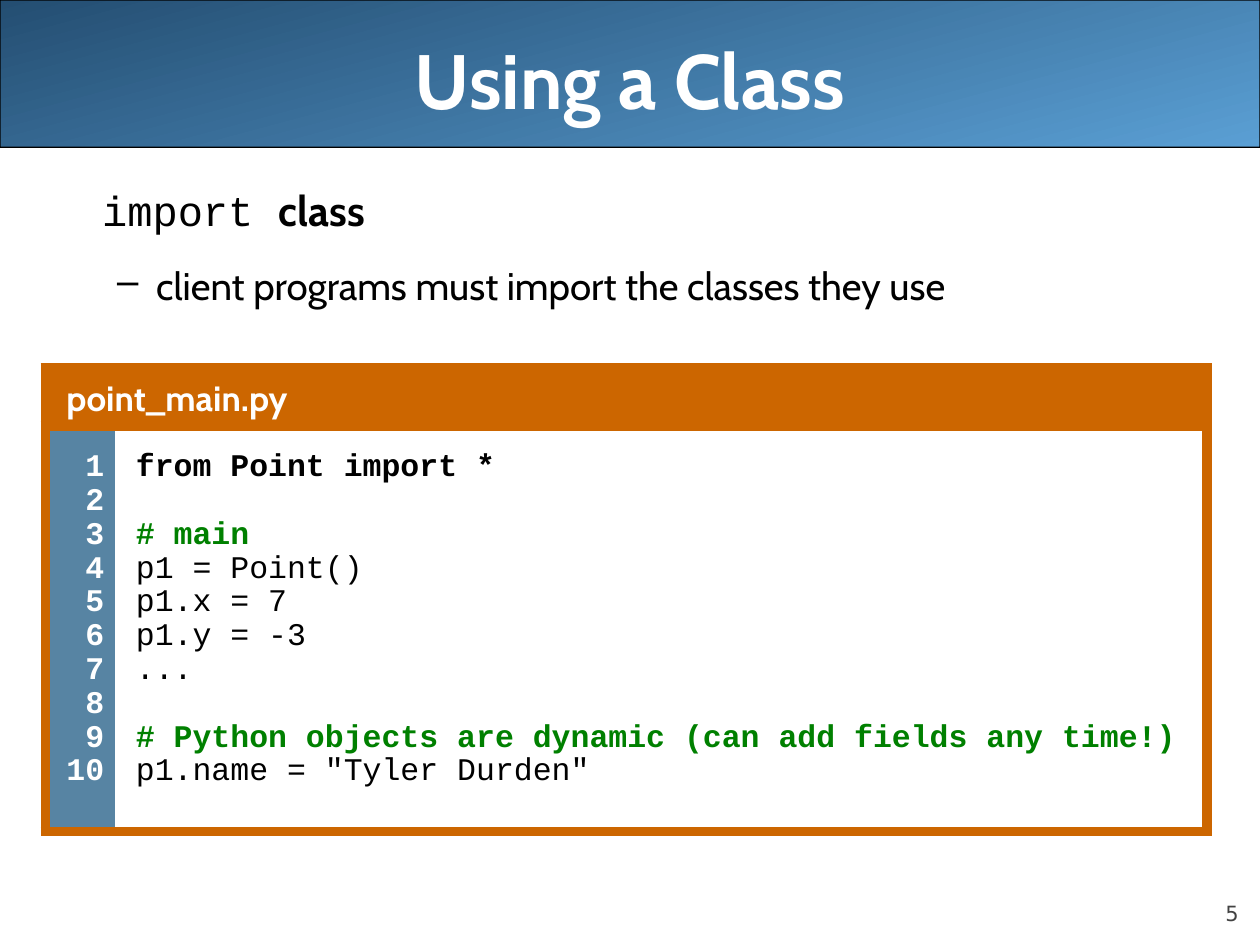
from dataclasses import dataclass

import pptx
import pptx.dml.color
import pptx.enum.shapes
import pptx.enum.text
import pptx.oxml
import pptx.oxml.ns
import pptx.util

Cm, Pt = pptx.util.Cm, pptx.util.Pt
ALIGN = pptx.enum.text.PP_ALIGN
ANCHOR = pptx.enum.text.MSO_ANCHOR


@dataclass(frozen=True)
class Theme:
    sans: str = "Cabin"
    mono: str = "Courier New"
    footer: str = "DejaVu Sans"
    black: str = "000000"
    white: str = "FFFFFF"
    grey: str = "424242"
    orange: str = "CC6600"
    slate: str = "5784A3"
    green: str = "008000"
    banner: tuple = ("244E72", "5A9FD4")
    title_size: float = 44
    lead_size: float = 24
    point_size: float = 22
    file_size: float = 20
    code_size: float = 18
    footer_size: float = 12
    frame_width: float = 6


@dataclass(frozen=True)
class Box:
    """A region of the slide, in centimetres."""
    left: float
    top: float
    width: float
    height: float

    def inset(self, left, top, width, height):
        return Box(self.left + left, self.top + top, width, height)

    def lengths(self):
        return [Cm(n) for n in (self.left, self.top, self.width, self.height)]


THEME = Theme()
LINE_SPACING = 0.77
CODE_GAP = 3.6
LINE_PITCH = 19.3  # one code line with its gap, in points

CODE = [
    ("from Point import *", THEME.black, True),
    None,
    ("# main", THEME.green, True),
    ("p1 = Point()", THEME.black, False),
    ("p1.x = 7", THEME.black, False),
    ("p1.y = -3", THEME.black, False),
    ("...", THEME.black, False),
    None,
    ("# Python objects are dynamic (can add fields any time!)", THEME.green, True),
    ('p1.name = "Tyler Durden"', THEME.black, False),
]


def rgb(value):
    return pptx.dml.color.RGBColor.from_string(value)


def apply(target, **values):
    for name, value in values.items():
        setattr(target, name, value)


def add_run(paragraph, text, font, size, color, bold=False):
    run = paragraph.add_run()
    run.text = text
    apply(run.font, name=font, size=Pt(size), bold=bold)
    run.font.color.rgb = rgb(color)


def indent(paragraph, margin, first=0.0):
    properties = paragraph._p.get_or_add_pPr()
    properties.set("marL", str(Cm(margin)))
    properties.set("indent", str(Cm(first)))


def next_paragraph(frame, is_first):
    return frame.paragraphs[0] if is_first else frame.add_paragraph()


def add_text_frame(slide, box, **values):
    frame = slide.shapes.add_textbox(*box.lengths()).text_frame
    apply(frame, word_wrap=True, **values)
    return frame


def add_banner(slide, box):
    band = slide.shapes.add_shape(
        pptx.enum.shapes.MSO_SHAPE.ROUNDED_RECTANGLE, *box.lengths())
    band.adjustments[0] = 0.001
    band.shadow.inherit = False
    band.fill.gradient()
    band.fill.gradient_angle = 285
    for stop, color, position in zip(band.fill.gradient_stops, THEME.banner, (0, 1)):
        stop.color.rgb = rgb(color)
        stop.position = position
    band.line.color.rgb = rgb(THEME.black)
    band.line.width = Pt(0.75)

    frame = add_text_frame(slide, box.inset(1.27, 0, box.width - 2.54, 3.18),
                           vertical_anchor=ANCHOR.MIDDLE)
    title = frame.paragraphs[0]
    title.alignment = ALIGN.CENTER
    add_run(title, "Using a Class", THEME.sans, THEME.title_size, THEME.white, True)


def add_explanation(slide, box):
    frame = add_text_frame(slide, box)
    lead = frame.paragraphs[0]
    indent(lead, 0.97, -0.97)
    lead.space_before = Pt(4.8)
    add_run(lead, "\timport ", THEME.mono, THEME.lead_size, THEME.black)
    add_run(lead, "class", THEME.sans, THEME.lead_size, THEME.black, True)

    point = frame.add_paragraph()
    indent(point, 2.06, -0.79)
    point.space_before = Pt(15.5)
    bullet = pptx.oxml.parse_xml(
        f'<a:buChar {pptx.oxml.ns.nsdecls("a")} char="–"/>')
    point._p.get_or_add_pPr().append(bullet)
    add_run(point, "client programs must import the classes they use",
            THEME.sans, THEME.point_size, THEME.black)


def style_cell(cell, fill, framed, margins):
    """Fill the cell and frame the sides named in framed, out of L, R, T, B."""
    sides = ("margin_left", "margin_top", "margin_right", "margin_bottom")
    apply(cell, **{side: Cm(n) for side, n in zip(sides, margins)})
    cell.fill.solid()
    cell.fill.fore_color.rgb = rgb(fill)
    properties = cell._tc.get_or_add_tcPr()
    visible = f'<a:solidFill><a:srgbClr val="{THEME.orange}"/></a:solidFill>'
    for place, side in enumerate("LRTB"):
        paint = visible if side in framed else "<a:noFill/>"
        properties.insert(place, pptx.oxml.parse_xml(
            f'<a:ln{side} {pptx.oxml.ns.nsdecls("a")} '
            f'w="{Pt(THEME.frame_width)}">{paint}</a:ln{side}>'))


def write_code_line(paragraph, text, color, bold, gap=CODE_GAP, margin=0.3, **values):
    apply(paragraph, line_spacing=LINE_SPACING, space_before=Pt(gap), **values)
    indent(paragraph, margin)
    add_run(paragraph, text, THEME.mono, THEME.code_size, color, bold)


def add_listing(slide, box):
    number_width, header_height = 1.4, 1.12
    table = slide.shapes.add_table(2, 2, *box.lengths()).table
    apply(table, first_row=False, horz_banding=False)
    table.columns[0].width = Cm(number_width)
    table.columns[1].width = Cm(box.width - number_width)
    table.rows[0].height = Cm(header_height)
    table.rows[1].height = Cm(box.height - header_height)

    header, numbers, code = table.cell(0, 0), table.cell(1, 0), table.cell(1, 1)
    header.merge(table.cell(0, 1))
    for cell in (header, table.cell(0, 1)):
        style_cell(cell, THEME.orange, "LRTB", (0.13, 0.13, 0.13, 0.13))
    style_cell(numbers, THEME.slate, "LTB", (0.13, 0.58, 0.21, 0.58))
    style_cell(code, THEME.white, "RTB", (0.13, 0.58, 0.46, 0.58))

    file_name = header.text_frame.paragraphs[0]
    apply(file_name, line_spacing=1.07, space_before=Pt(3))
    indent(file_name, 0.3)
    add_run(file_name, "point_main.py", THEME.sans, THEME.file_size, THEME.white, True)

    gap = CODE_GAP
    for index, line in enumerate(CODE):
        number = next_paragraph(numbers.text_frame, index == 0)
        write_code_line(number, str(index + 1), THEME.white, True,
                        margin=0, alignment=ALIGN.RIGHT)
        if line is None:
            gap += LINE_PITCH
            continue
        write_code_line(next_paragraph(code.text_frame, index == 0), *line, gap=gap)
        gap = CODE_GAP


def add_page_number(slide, box):
    frame = add_text_frame(slide, box, vertical_anchor=ANCHOR.BOTTOM, margin_left=0,
                           margin_top=0, margin_right=0, margin_bottom=0)
    number = frame.paragraphs[0]
    number.alignment = ALIGN.RIGHT
    add_run(number, "5", THEME.footer, THEME.footer_size, THEME.grey)


def main():
    deck = pptx.Presentation()
    apply(deck, slide_width=Cm(25.4), slide_height=Cm(19.05))
    slide = deck.slides.add_slide(deck.slide_layouts[6])
    add_banner(slide, Box(0, 0, 25.4, 2.97))
    add_page_number(slide, Box(22.86, 17.65, 2.11, 1.02))
    add_explanation(slide, Box(0.84, 3.6, 24.13, 13.77))
    add_listing(slide, Box(0.91, 7.42, 23.42, 8.95))
    deck.save("out.pptx")


if __name__ == "__main__":
    main()
